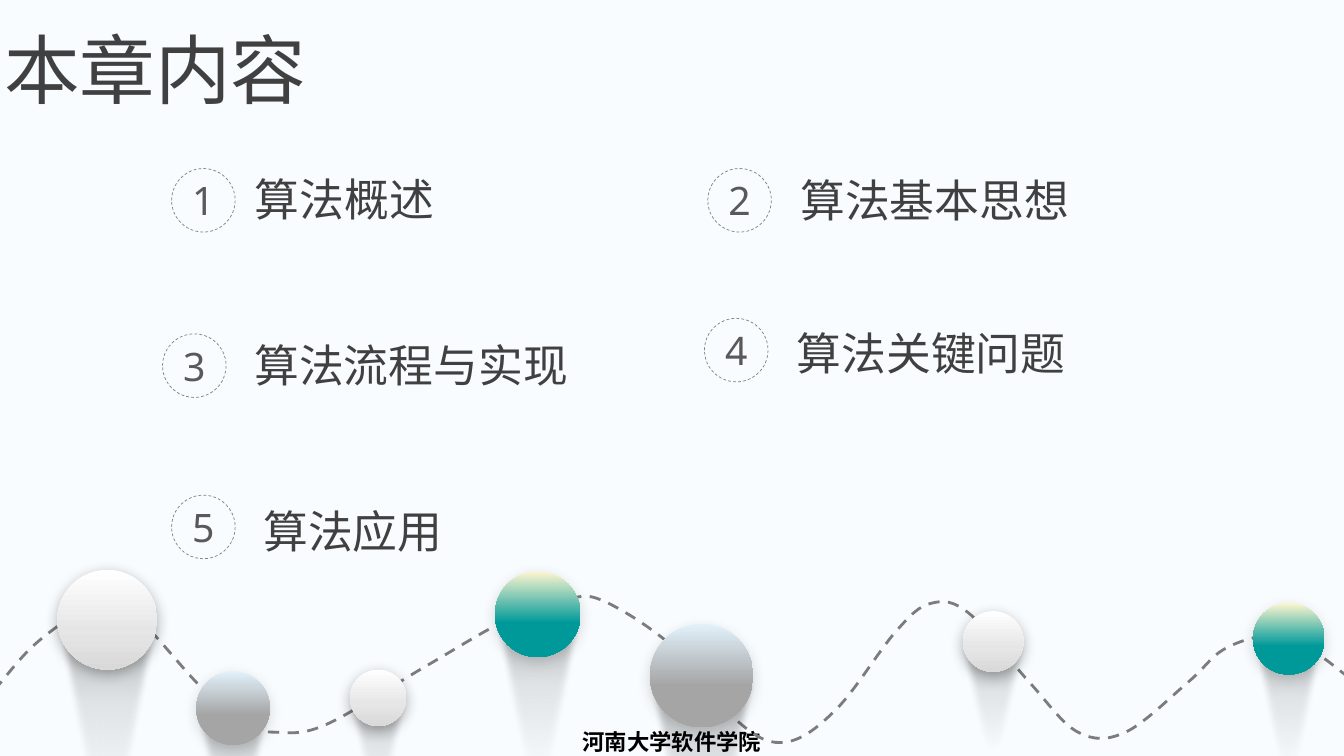
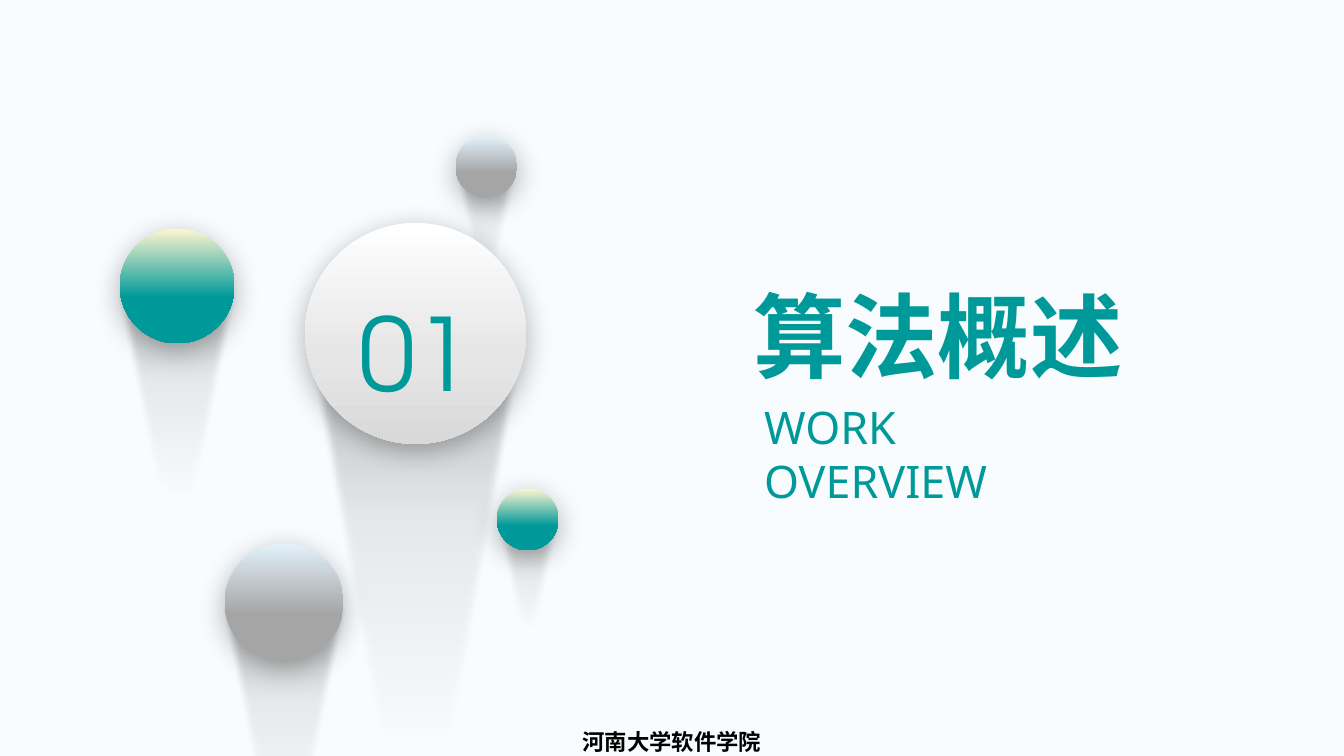
from dataclasses import dataclass
from lxml import etree
from pptx import Presentation
from pptx.dml.color import RGBColor
from pptx.enum.dml import MSO_LINE
from pptx.enum.shapes import MSO_SHAPE
from pptx.enum.text import MSO_ANCHOR, MSO_AUTO_SIZE, PP_ALIGN
from pptx.oxml.ns import qn
from pptx.util import Pt

OVAL = MSO_SHAPE.OVAL
DASH = MSO_LINE.DASH
LEFT, CENTER = PP_ALIGN.LEFT, PP_ALIGN.CENTER
TOP, MIDDLE, BOTTOM = MSO_ANCHOR.TOP, MSO_ANCHOR.MIDDLE, MSO_ANCHOR.BOTTOM
GROW = MSO_AUTO_SIZE.SHAPE_TO_FIT_TEXT


@dataclass(frozen=True)
class Theme:
    background: str = "F8FCFE"
    accent: str = "009999"
    ink: str = "404040"
    number: str = "595959"
    ring: str = "808080"
    wave: str = "7C7C7C"
    footer: str = "000000"
    shadow: str = "000000"
    font: str = "Noto Sans"
    footer_font: str = "DejaVu Sans"
    digit_font: str = "TeX Gyre Adventor"
    title_size: int = 54
    section_size: int = 66
    digit_size: int = 72
    item_size: int = 32
    number_size: int = 28
    footer_size: int = 16


@dataclass(frozen=True)
class Depth:
    """Shadow of the balls, and gradient stops (position, colour, opacity) of the cones."""
    blur: int
    distance: int
    opacity: dict
    cone: tuple


THEME = Theme()
BALL_STOPS = {
    "white": ((0, "FFFFFF", 100), (60, "E7E6E6", 100), (100, "D9D9D9", 100)),
    "gray": ((1, "E1F0F9", 100), (60, "A5A5A5", 100), (100, "A5A5A5", 100)),
    "teal": ((0, "FFF6CF", 100), (60, THEME.accent, 100), (100, THEME.accent, 100)),
}
SHALLOW = Depth(10, 3, {"white": 30, "gray": 15, "teal": 15},
                ((0, "000000", 30), (30, "000000", 10), (50, "000000", 5), (70, "000000", 0)))
DEEP = Depth(20, 5, {"white": 30, "gray": 30, "teal": 30},
             ((0, "262626", 30), (30, "000000", 8), (50, "000000", 4), (70, "000000", 0)))

FOOTER = "河南大学软件学院"
AGENDA_TITLE = "本章内容"
# number, circle left and top, label, label left and top
AGENDA = [
    ("1", 122.6, 120.4, "算法概述", 175, 119),
    ("2", 505.6, 120.4, "算法基本思想", 564.5, 119.7),
    ("3", 116.1, 238.5, "算法流程与实现", 174.6, 237.6),
    ("4", 503.2, 227.4, "算法关键问题", 562, 229),
    ("5", 122.6, 353.7, "算法应用", 181, 356),
]
SECTION_NUMBER = "01"
SECTION_TITLE = "算法概述"
SECTION_SUBTITLE = "WORK OVERVIEW"

# tint, left, top, diameter, cone width, text
AGENDA_BALLS = [
    ("white", 41, 407, 71.3, 79, ""),
    ("gray", 140.2, 479.5, 52.6, 58.3, ""),
    ("white", 250, 478.3, 40.3, 47.5, ""),
    ("teal", 353.5, 408.2, 61.2, 67.7, ""),
    ("gray", 464.3, 445.7, 73.8, 82, ""),
    ("white", 687.7, 436.5, 43.4, 52, ""),
    ("teal", 895, 430.7, 51.1, 56, ""),
]
SECTION_BALLS = [
    ("gray", 325.4, 97.2, 43.9, 49, ""),
    ("white", 217.9, 159.2, 157.9, 160, SECTION_NUMBER),
    ("gray", 160.6, 388.1, 84.7, 94, ""),
    ("teal", 355, 349.2, 43.9, 49, ""),
    ("teal", 85.6, 163.4, 81.9, 90.7, ""),
]
WAVE = [
    (-4, 493), (21, 464), (46, 444), (66, 433), (90, 436), (107, 450), (138, 485),
    (161, 508), (177, 518), (195, 523), (232, 518), (304, 476), (360, 444), (399, 431),
    (428, 428), (482, 463), (529, 517), (562, 530), (598, 506), (640, 451), (665, 431),
    (692, 438), (735, 487), (770, 523), (804, 523), (849, 487), (874, 464), (906, 454),
    (932, 461), (966, 486),
]
# each curve is (first control, second control, end), in parts of width and height
CONE_START = (1, 0)
CONE_CURVES = [((0.84, 0.33), (0.54, 1.01), (0.5, 1)),
               ((0.46, 1.01), (0.16, 0.33), (0, 0))]
CONE_LENGTH = 2.73
CONE_SOFT_EDGE = 5
RING = 45.4


def place(shape, left, top, width, height):
    shape.left, shape.top, shape.width, shape.height = map(Pt, (left, top, width, height))


def write(shape, text, size, color, font=THEME.font, bold=False, align=LEFT,
          anchor=TOP, wrap=False):
    frame = shape.text_frame
    frame.text = text
    frame.word_wrap = wrap
    frame.vertical_anchor = anchor
    paragraph = frame.paragraphs[0]
    paragraph.alignment = align
    paragraph.space_before = Pt(0)
    run = paragraph.runs[0]
    run.font.name, run.font.size, run.font.bold = font, Pt(size), bold
    run.font.color.rgb = RGBColor.from_string(color)
    east_asian = etree.SubElement(run.font._element, qn("a:ea"))
    east_asian.set("typeface", font)
    return paragraph


def add_color(parent, color, opacity):
    node = etree.SubElement(parent, qn("a:srgbClr"), val=color)
    if opacity < 100:
        etree.SubElement(node, qn("a:alpha"), val=str(opacity * 1000))


def fill_downward(shape, stops):
    """Fill with a gradient from top to bottom, without outline or shadow."""
    shape.fill.solid()
    shape.line.fill.background()
    shape.shadow.inherit = False
    properties = shape.element.spPr
    gradient = etree.Element(qn("a:gradFill"), rotWithShape="1")
    stop_list = etree.SubElement(gradient, qn("a:gsLst"))
    for position, color, opacity in stops:
        stop = etree.SubElement(stop_list, qn("a:gs"), pos=str(position * 1000))
        add_color(stop, color, opacity)
    etree.SubElement(gradient, qn("a:lin"), ang="5400000", scaled="0")
    properties.replace(properties.find(qn("a:solidFill")), gradient)


def add_effect(shape, tag, **settings):
    effects = shape.element.spPr.find(qn("a:effectLst"))
    return etree.SubElement(effects, qn(tag), **settings)


def cast_shadow(shape, depth, opacity):
    shadow = add_effect(shape, "a:outerShdw", blurRad=str(Pt(depth.blur)),
                        dist=str(Pt(depth.distance)), dir="5400000",
                        algn="t", rotWithShape="0")
    add_color(shadow, THEME.shadow, opacity)


def smooth_through(anchors):
    """Curves that join every anchor to the next without a corner."""
    padded = [anchors[0], *anchors, anchors[-1]]
    curves = []
    for before, start, end, after in zip(padded, padded[1:], padded[2:], padded[3:]):
        control_1 = [s + (e - b) / 6 for b, s, e in zip(before, start, end)]
        control_2 = [e - (a - s) / 6 for s, e, a in zip(start, end, after)]
        curves.append((control_1, control_2, end))
    return curves


def add_outline(shapes, start, curves, close):
    """Draw straight sides between the curve ends, then bend each with its controls."""
    builder = shapes.build_freeform(*map(Pt, start), scale=1.0)
    builder.add_line_segments([tuple(map(Pt, end)) for *_, end in curves], close=close)
    outline = builder.convert_to_shape()
    sides = list(outline.element.iter(qn("a:lnTo")))
    for side, (*controls, _) in zip(sides, curves):
        bend = etree.Element(qn("a:cubicBezTo"))
        for x, y in controls:
            etree.SubElement(bend, qn("a:pt"), x=str(Pt(x) - outline.left),
                             y=str(Pt(y) - outline.top))
        bend.append(side[0])
        side.getparent().replace(side, bend)
    return outline


def add_ball(slide, depth, tint, left, top, diameter, cone_width, text):
    """Draw a ball and the fading cone that hangs from its middle."""
    shapes = slide.shapes.add_group_shape().shapes
    cone_left = left + (diameter - cone_width) / 2
    cone_top = top + diameter / 2

    def on_cone(point):
        return (cone_left + point[0] * cone_width,
                cone_top + point[1] * diameter * CONE_LENGTH)

    curves = [tuple(map(on_cone, curve)) for curve in CONE_CURVES]
    cone = add_outline(shapes, on_cone(CONE_START), curves, close=True)
    fill_downward(cone, depth.cone)
    add_effect(cone, "a:softEdge", rad=str(Pt(CONE_SOFT_EDGE)))
    ball = shapes.add_shape(OVAL, *map(Pt, (left, top, diameter, diameter)))
    fill_downward(ball, BALL_STOPS[tint])
    cast_shadow(ball, depth, depth.opacity[tint])
    if text:
        digits = write(ball, text, THEME.digit_size, THEME.accent, THEME.digit_font,
                       align=CENTER, anchor=MIDDLE, wrap=True)
        digits.line_spacing = 1.3


def add_wave(slide):
    wave = add_outline(slide.shapes, WAVE[0], smooth_through(WAVE), close=False)
    wave.fill.background()
    wave.shadow.inherit = False
    wave.line.color.rgb = RGBColor.from_string(THEME.wave)
    wave.line.width = Pt(2)
    wave.line.dash_style = DASH


def add_agenda_item(slide, number, ring_left, ring_top, label, label_left, label_top):
    ring = slide.shapes.add_shape(OVAL, *map(Pt, (ring_left, ring_top, RING, RING)))
    ring.shadow.inherit = False
    ring.fill.background()
    ring.line.color.rgb = RGBColor.from_string(THEME.ring)
    ring.line.width = Pt(0.5)
    ring.line.dash_style = DASH
    frame = ring.text_frame
    frame.margin_left = frame.margin_right = frame.margin_top = frame.margin_bottom = 0
    write(ring, number, THEME.number_size, THEME.number, align=CENTER, anchor=MIDDLE, wrap=True)
    width = len(label) * THEME.item_size + 15
    caption = slide.shapes.add_textbox(*map(Pt, (label_left, label_top, width, 46)))
    write(caption, label, THEME.item_size, THEME.ink)
    caption.text_frame.auto_size = GROW


def dress_master(master, slide):
    """Give the master its background and footer; the footer is made on a slide and moved."""
    master.background.fill.solid()
    master.background.fill.fore_color.rgb = RGBColor.from_string(THEME.background)
    footer = slide.shapes.add_textbox(*map(Pt, (355.5, 516.8, 249, 23.2)))
    write(footer, FOOTER, THEME.footer_size, THEME.footer, THEME.footer_font,
          bold=True, align=CENTER, wrap=True)
    master.shapes.element.append(footer.element)


def build_agenda(slide):
    title = slide.shapes.title
    place(title, -4.3, 13, 232.6, 72.7)
    write(title, AGENDA_TITLE, THEME.title_size, THEME.ink)
    title.text_frame.auto_size = GROW
    add_wave(slide)
    for ball in AGENDA_BALLS:
        add_ball(slide, SHALLOW, *ball)
    for item in AGENDA:
        add_agenda_item(slide, *item)


def build_section(slide):
    for ball in SECTION_BALLS:
        add_ball(slide, DEEP, *ball)
    title, subtitle = slide.shapes.title, slide.placeholders[1]
    place(title, 530.8, 195, 288, 87.1)
    write(title, SECTION_TITLE, THEME.section_size, THEME.accent, bold=True, anchor=BOTTOM)
    place(subtitle, 538.6, 282.2, 272.9, 46)
    write(subtitle, SECTION_SUBTITLE, THEME.item_size, THEME.accent, wrap=True)
    for box in (title, subtitle):
        box.text_frame.auto_size = GROW


def main():
    deck = Presentation()
    deck.slide_width, deck.slide_height = Pt(960), Pt(540)
    agenda = deck.slides.add_slide(deck.slide_layouts[5])
    section = deck.slides.add_slide(deck.slide_layouts[0])
    dress_master(deck.slide_master, agenda)
    build_agenda(agenda)
    build_section(section)
    deck.save("out.pptx")


if __name__ == "__main__":
    main()
